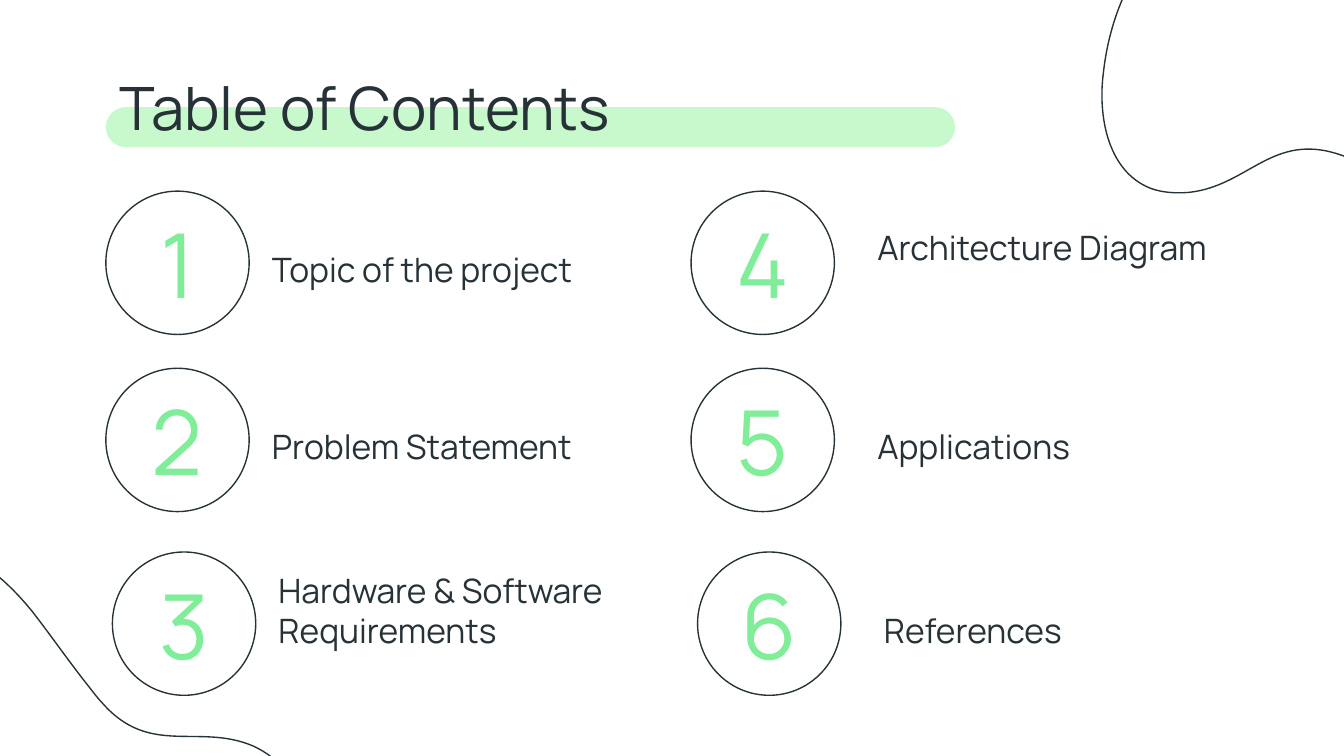
from math import cos, radians, sin

from lxml.etree import SubElement
from pptx import Presentation
from pptx.dml.color import RGBColor
from pptx.enum.shapes import MSO_SHAPE as Shape
from pptx.enum.text import MSO_ANCHOR as Anchor, MSO_AUTO_SIZE as AutoSize, PP_ALIGN as Align
from pptx.oxml.ns import qn
from pptx.util import Pt

FONT = "Manrope"
WHITE = RGBColor(0xFF, 0xFF, 0xFF)
INK = RGBColor(0x26, 0x32, 0x38)
GREEN = RGBColor(0x80, 0xED, 0x99)
PALE_GREEN = RGBColor(0xC7, 0xF9, 0xCC)

CIRCLE = 76.8
NUMBER_W, NUMBER_H = 69.8, 55.4
LABEL_W = 218
COLUMNS = [(56.7, 81.9), (370.2, 92.7)]  # circle left, label offset
ROWS = [(102.4, 0), (197.3, 0), (295.7, 3.5)]  # circle top, shift to the right

# Label and box height, column by column
TOPICS = [
    [("Topic of the project", 29.5), ("Problem Statement", 29.5),
     ("Hardware & Software Requirements", 72)],
    [("Architecture Diagram", 53.3), ("Applications", 29.5), ("References", 29.5)],
]

# Closed Bezier outlines on the slide: a start, then two controls and an end each
BLOB_W, BLOB_H = 318.2, 234
TOP_BLOB = (616.3, 100.8), [
    (622.1, 103, 629.3, 103.7, 637.2, 103), (668.9, 99.4, 681.8, 70.6, 717.8, 82.8),
    (721.4, 84.2, 725, 85, 728.6, 86.4), (745.2, 92.9, 760.3, 100.8, 775.4, 106.6),
    (794.2, 113.8, 812.9, 118.1, 836.6, 114.5), (877.7, 109.4, 895, 85, 900, 51.1),
    (910.1, -7.9, 872.6, -51.1, 818.6, -72), (795.6, -80.6, 769.7, -85, 743, -85),
    (658.1, -85, 599, -33.1, 591.1, 38.9), (588.2, 60.5, 592.6, 91.4, 616.3, 100.8),
]
BOTTOM_BLOB = (152.6, 412.6), [
    (148.3, 407.5, 143.3, 403.2, 135.4, 399.6), (106.6, 387.4, 80.6, 405.4, 55.4, 377.3),
    (52.6, 374.4, 50.4, 371.5, 48.2, 368.6), (36.7, 354.2, 27.4, 340.6, 17.3, 327.6),
    (5, 312.5, -9.4, 299.5, -31.7, 290.2), (-69.8, 274.3, -96.5, 287.3, -118.8, 313.9),
    (-156.2, 360, -145.4, 416.2, -109.4, 460.8), (-93.6, 480.2, -73.4, 496.8, -50.4, 510.5),
    (23, 552.2, 100.1, 537.1, 143.3, 478.8), (156.2, 461.5, 168.5, 432, 152.6, 412.6),
]


def style_shape(sp, fill=None, line=None):
    sp.shadow.inherit = False
    if fill is None:
        sp.fill.background()
    else:
        sp.fill.solid()
        sp.fill.fore_color.rgb = fill
    if line is None:
        sp.line.fill.background()
    else:
        sp.line.color.rgb = line
        sp.line.width = Pt(0.75)


def add_preset(s, kind, x, y, w, h, **style):
    sp = s.shapes.add_shape(kind, Pt(x), Pt(y), Pt(w), Pt(h))
    style_shape(sp, **style)
    return sp


def add_blob(s, x, y, angle, start, curves):
    """Draw a closed Bezier outline as a freeform turned by angle degrees."""
    builder = s.shapes.build_freeform(Pt(x), Pt(y))
    builder.add_line_segments([(Pt(x + BLOB_W), Pt(y + BLOB_H))], close=True)
    sp = builder.convert_to_shape()
    sp.rotation = angle
    style_shape(sp, line=INK)

    # Swap the straight segment for curves, turned back into the shape's own frame
    outline = next(sp._element.iter(qn("a:path")))
    for child in list(outline):
        outline.remove(child)
    c, n = cos(radians(angle)), sin(radians(angle))

    def add_segment(tag, *coords):
        segment = SubElement(outline, qn(tag))
        for px, py in zip(coords[::2], coords[1::2]):
            dx, dy = px - x - BLOB_W / 2, py - y - BLOB_H / 2
            SubElement(segment, qn("a:pt"),
                       x=str(Pt(BLOB_W / 2 + dx * c + dy * n)),
                       y=str(Pt(BLOB_H / 2 - dx * n + dy * c)))

    add_segment("a:moveTo", *start)
    for curve in curves:
        add_segment("a:cubicBezTo", *curve)
    add_segment("a:close")


def write_text(sp, text, size=18, color=INK, align=Align.LEFT, anchor=Anchor.TOP):
    tf = sp.text_frame
    tf.word_wrap = True
    tf.auto_size = AutoSize.NONE
    tf.vertical_anchor = anchor
    tf.margin_left = tf.margin_right = tf.margin_top = tf.margin_bottom = Pt(7.2)
    p = tf.paragraphs[0]
    p.alignment = align
    r = p.add_run()
    r.text = text
    r.font.name = FONT
    r.font.size = Pt(size)
    r.font.color.rgb = color


def add_text(s, text, x, y, w, h, **style):
    write_text(s.shapes.add_textbox(Pt(x), Pt(y), Pt(w), Pt(h)), text, **style)


def add_title(s, text, x, y, w, h):
    sp = s.shapes.title
    sp.left, sp.top, sp.width, sp.height = Pt(x), Pt(y), Pt(w), Pt(h)
    write_text(sp, text, size=32)
    s.shapes._spTree.append(sp._element)  # in front of the highlight bar


def add_topic(s, number, label, x, y, offset, height):
    """A numbered circle with its label, both centred on the same height."""
    middle = y + CIRCLE / 2
    add_preset(s, Shape.OVAL, x, y, CIRCLE, CIRCLE, line=INK)
    add_text(s, str(number), x + (CIRCLE - NUMBER_W) / 2, middle - NUMBER_H / 2,
             NUMBER_W, NUMBER_H, size=48, color=GREEN,
             align=Align.CENTER, anchor=Anchor.MIDDLE)
    add_text(s, label, x + offset, middle - height / 2, LABEL_W, height)


def main():
    prs = Presentation()
    prs.slide_width, prs.slide_height = Pt(720), Pt(405)
    s = prs.slides.add_slide(prs.slide_layouts[5])
    s.background.fill.solid()
    s.background.fill.fore_color.rgb = WHITE

    # Highlight bar and outline blobs
    bar = add_preset(s, Shape.ROUNDED_RECTANGLE, 56.7, 57.4, 455, 21.5, fill=PALE_GREEN)
    bar.adjustments[0] = 0.5
    add_blob(s, 588.2, -90.7, 201, *TOP_BLOB)
    add_blob(s, -157, 295.2, 50.9, *BOTTOM_BLOB)

    add_title(s, "Table of Contents", 56.9, 30.5, 607, 48.2)

    # Numbered topics
    number = 1
    for (x, offset), topics in zip(COLUMNS, TOPICS):
        for (y, shift), (label, height) in zip(ROWS, topics):
            add_topic(s, number, label, x + shift, y, offset, height)
            number += 1

    prs.save("out.pptx")


if __name__ == "__main__":
    main()
